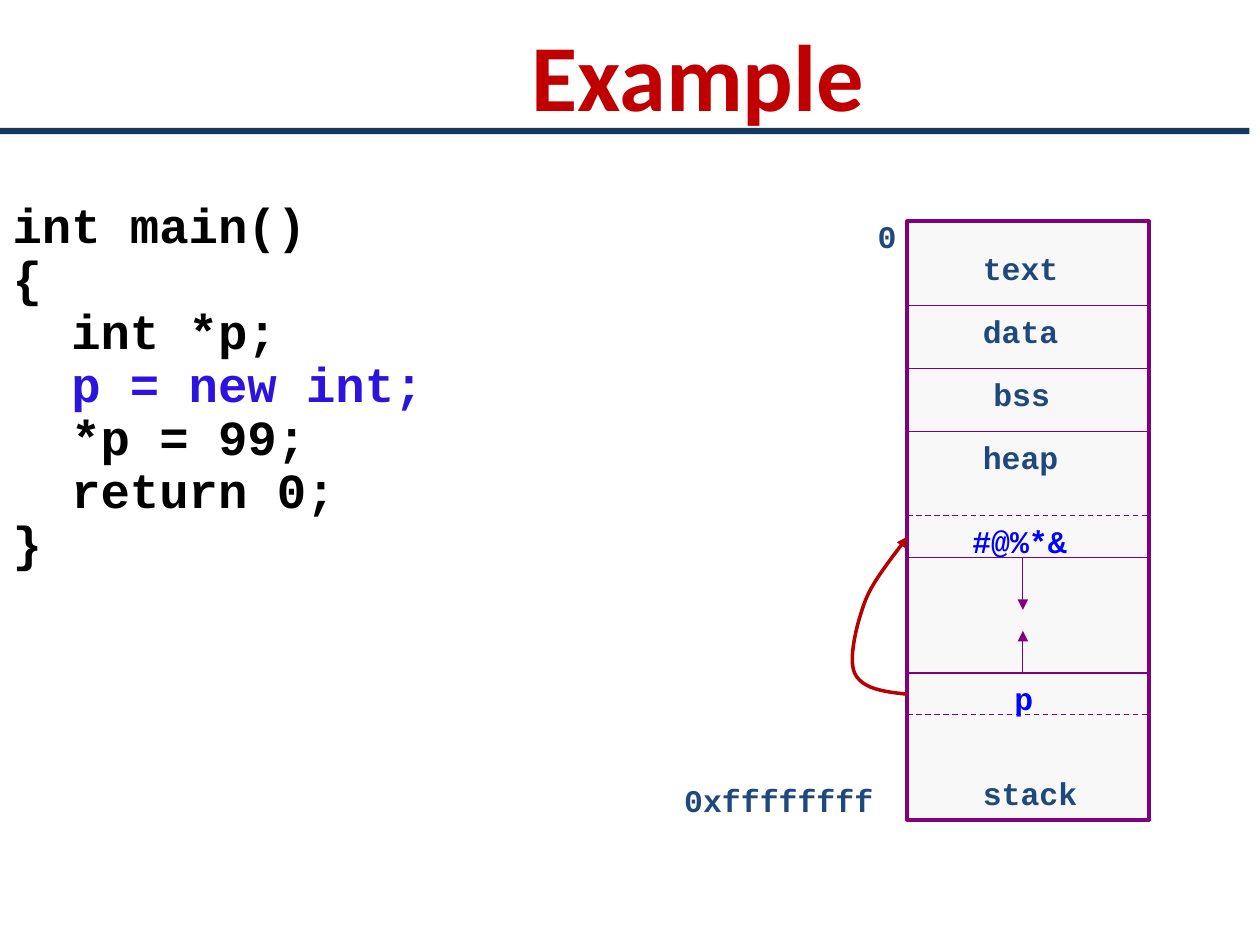
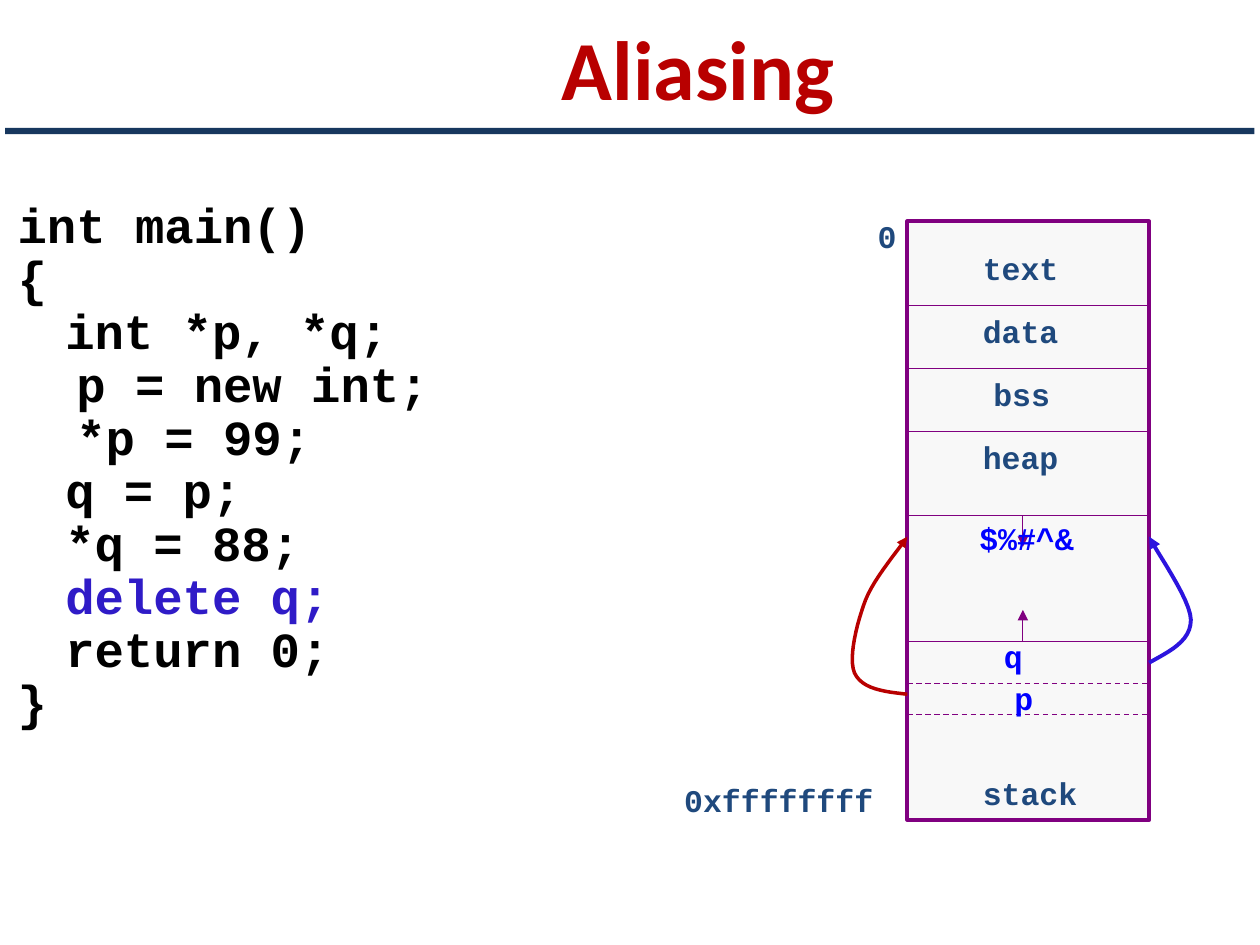
"""Builds two slides on pointers, each with code beside a memory layout."""
from pptx import Presentation
from pptx.dml.color import RGBColor
from pptx.enum.dml import MSO_LINE
from pptx.enum.shapes import MSO_CONNECTOR, MSO_SHAPE
from pptx.enum.text import MSO_ANCHOR, MSO_AUTO_SIZE, PP_ALIGN
from pptx.oxml.ns import qn
from pptx.util import Pt
from lxml.etree import SubElement

NAVY, SLATE, PURPLE, PALE = "17375E", "1F497D", "800080", "F8F8F8"
BLACK, BLUE, VIOLET, INDIGO = "000000", "0000FF", "2C14DE", "2F1BC7"
RED, BRICK = "C00000", "B80000"
CODE_FONT = "Courier New"
CODE_INDENT = 27.2
MEMORY_LEFT, MEMORY_TOP, MEMORY_WIDTH, MEMORY_HEIGHT = 518.5, 126.5, 138.2, 342
ARROW_X = 66
CURVE_STEPS = 12

SHARED_LABELS = [
    ("0xffffffff", -134.6, 316.4, 134.6, SLATE),
    ("0", -24, -6, 30, SLATE),
    ("text", 36, 12, 90, SLATE),
    ("data", 36, 48, 84, SLATE),
    ("bss", 42, 84, 60, SLATE),
    ("heap", 36, 120, 90, SLATE),
    ("stack", 36, 312, 90, SLATE),
    ("p", 54, 258, 60, BLUE),
]
SHARED_SOLID, SHARED_DASHED = [48, 84, 120], [282]
POINTER_P = (BRICK, 2, [
    (0, 270.2), (-13, 268.8), (-25.9, 267.3), (-30.2, 258),
    (-33.8, 249.3), (-28.8, 229.2), (-23.8, 216.2),
    (-18.7, 203.3), (-3.6, 186), (0, 180.2)])
POINTER_Q = (VIOLET, 2.25, [
    (138.2, 252.2), (149.8, 245.7), (162, 240), (162, 227.7),
    (162, 216.2), (141.8, 188.1), (138.2, 180.2)])

SLIDES = [
    {
        "title": ("Example", 54, RED, 5.76, 72.72),
        "left": 0,
        "code": [
            (0, "int main()", BLACK),
            (0, "{", BLACK),
            (0, "  int *p;", BLACK),
            (0, "  p = new int;", VIOLET),
            (0, "  *p = 99;", BLACK),
            (0, "  return 0;", BLACK),
            (0, "}", BLACK),
        ],
        "solid": [192, 258],
        "dashed": [168],
        "arrows": [(192, 222), (258, 234)],
        "labels": [("#@%*&", 30, 168, 120, BLUE)],
        "pointers": [POINTER_P],
    },
    {
        "title": ("Aliasing", 48, BRICK, 0, 77.04),
        "left": 2.88,
        "code": [
            (0, "int main()", BLACK),
            (0, "{", BLACK),
            (1, "int *p, *q;", BLACK),
            (0, "  p = new int;", BLACK),
            (0, "  *p = 99;", BLACK),
            (1, "q = p;", BLACK),
            (1, "*q = 88;", BLACK),
            (1, "delete q;", INDIGO),
            (1, "return 0;", BLACK),
            (0, "}", BLACK),
        ],
        "solid": [168, 240],
        "dashed": [264],
        "arrows": [(168, 186), (240, 222)],
        "labels": [("$%#^&", 34, 166.5, 84, BLUE), ("q", 48, 234.2, 60, BLUE)],
        "pointers": [POINTER_P, POINTER_Q],
    },
]


def color(value):
    return RGBColor.from_string(value)


def place(shape, left, top, width, height):
    shape.left, shape.top = Pt(left), Pt(top)
    shape.width, shape.height = Pt(width), Pt(height)


def add_span(para, text, size, font, value):
    span = para.add_run()
    span.text = text
    span.font.size, span.font.name, span.font.bold = Pt(size), font, True
    span.font.color.rgb = color(value)


def add_title(page, text, size, value, top, height):
    title = page.shapes.title
    place(title, 77.76, top, 642.24, height)
    title.text_frame.vertical_anchor = MSO_ANCHOR.MIDDLE
    para = title.text_frame.paragraphs[0]
    para.alignment = PP_ALIGN.CENTER
    add_span(para, text, size, "Calibri", value)


def add_code(page, left, lines):
    body = page.placeholders[1]
    place(body, left, 111.6, 705, 410)
    frame = body.text_frame
    frame.auto_size = MSO_AUTO_SIZE.NONE
    for number, (level, text, value) in enumerate(lines):
        para = frame.add_paragraph() if number else frame.paragraphs[0]
        para.line_spacing = 0.9
        para.space_before = Pt(0)
        properties = para._p.get_or_add_pPr()
        properties.set("marL", str(Pt(level * CODE_INDENT)))
        properties.set("indent", "0")
        SubElement(properties, qn("a:buNone"))
        add_span(para, text, 28, CODE_FONT, value)


def add_block(page, left, top, width, height, fill):
    block = page.shapes.add_shape(
        MSO_SHAPE.RECTANGLE, Pt(left), Pt(top), Pt(width), Pt(height))
    block.shadow.inherit = False
    block.fill.solid()
    block.fill.fore_color.rgb = color(fill)
    block.line.fill.background()
    return block


def style_line(shape, value, width, arrow=False):
    shape.line.color.rgb = color(value)
    shape.line.width = Pt(width)
    if arrow:
        SubElement(shape.line._get_or_add_ln(), qn("a:tailEnd"), type="triangle")


def memory_point(x, y):
    return Pt(MEMORY_LEFT + x), Pt(MEMORY_TOP + y)


def add_line(page, start, end, dashed=False, arrow=False):
    line = page.shapes.add_connector(
        MSO_CONNECTOR.STRAIGHT, *memory_point(*start), *memory_point(*end))
    style_line(line, PURPLE, 0.75, arrow)
    if dashed:
        line.line.dash_style = MSO_LINE.DASH
    SubElement(line._element.spPr, qn("a:effectLst"))


def add_label(page, text, x, y, width, value):
    box = page.shapes.add_textbox(*memory_point(x, y), Pt(width), Pt(31))
    box.text_frame.word_wrap = True
    add_span(box.text_frame.paragraphs[0], text, 18, CODE_FONT, value)


def curve_points(controls):
    for start in range(0, len(controls) - 1, 3):
        for step in range(1, CURVE_STEPS + 1):
            t = step / CURVE_STEPS
            weights = ((1 - t) ** 3, 3 * t * (1 - t) ** 2, 3 * t * t * (1 - t), t ** 3)
            segment = controls[start:start + 4]
            yield memory_point(*(
                sum(weight * point[axis] for weight, point in zip(weights, segment))
                for axis in (0, 1)))


def add_pointer(page, value, width, controls):
    builder = page.shapes.build_freeform(*memory_point(*controls[0]))
    builder.add_line_segments(curve_points(controls), close=False)
    pointer = builder.convert_to_shape()
    pointer.shadow.inherit = False
    pointer.fill.background()
    style_line(pointer, value, width, arrow=True)


def add_memory(page, content):
    memory = add_block(
        page, MEMORY_LEFT, MEMORY_TOP, MEMORY_WIDTH, MEMORY_HEIGHT, PALE)
    style_line(memory, PURPLE, 2.25)
    dashed = SHARED_DASHED + content["dashed"]
    for y in SHARED_SOLID + content["solid"] + dashed:
        add_line(page, (0, y), (MEMORY_WIDTH, y), dashed=y in dashed)
    for start, end in content["arrows"]:
        add_line(page, (ARROW_X, start), (ARROW_X, end), arrow=True)
    for label in SHARED_LABELS + content["labels"]:
        add_label(page, *label)
    for pointer in content["pointers"]:
        add_pointer(page, *pointer)


def main():
    deck = Presentation()
    deck.slide_width, deck.slide_height = Pt(720), Pt(540)
    for content in SLIDES:
        page = deck.slides.add_slide(deck.slide_layouts[1])
        add_title(page, *content["title"])
        add_code(page, content["left"], content["code"])
        add_memory(page, content)
        add_block(page, content["left"], 73.1, 714, 3.6, NAVY)
    deck.save("out.pptx")


if __name__ == "__main__":
    main()
